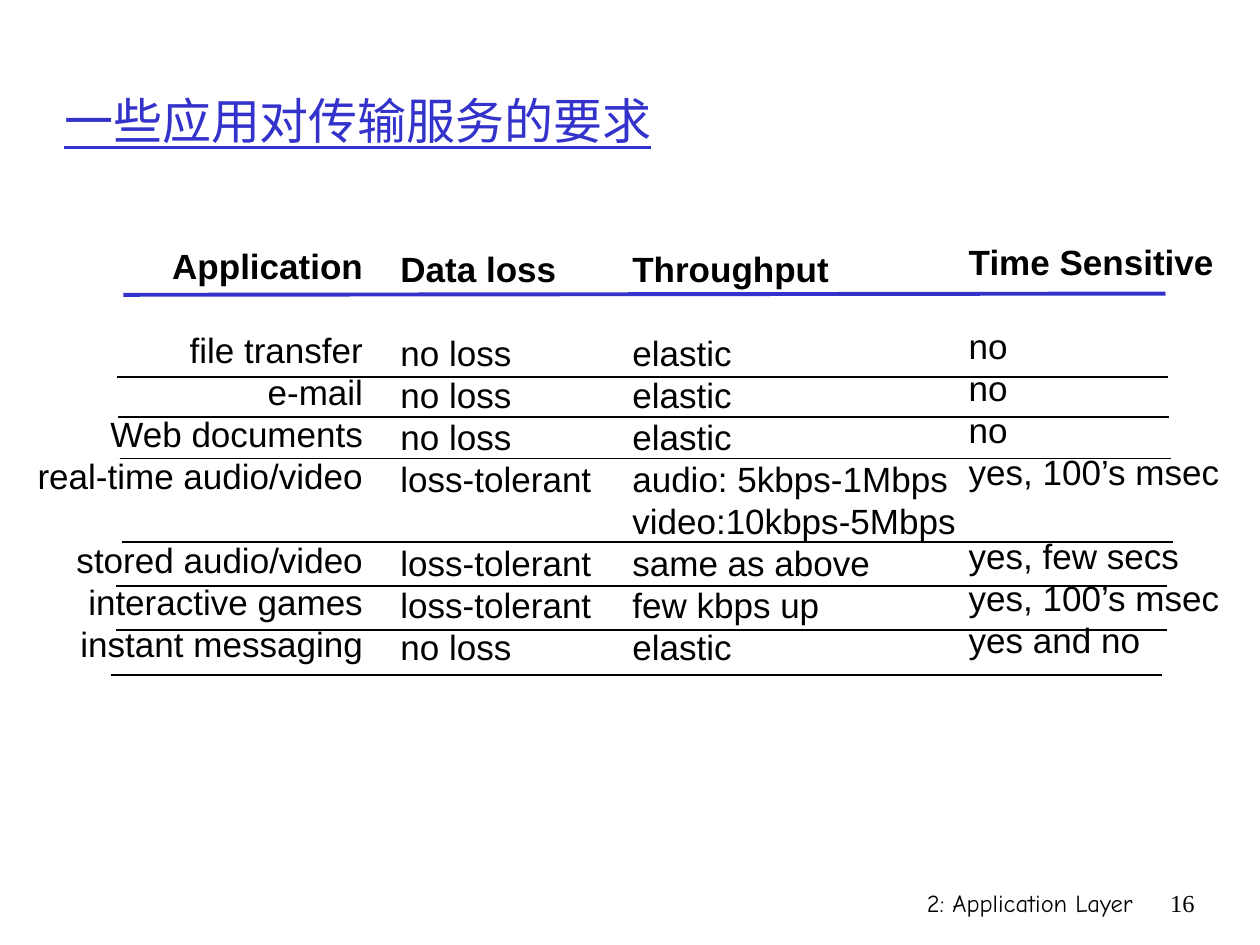
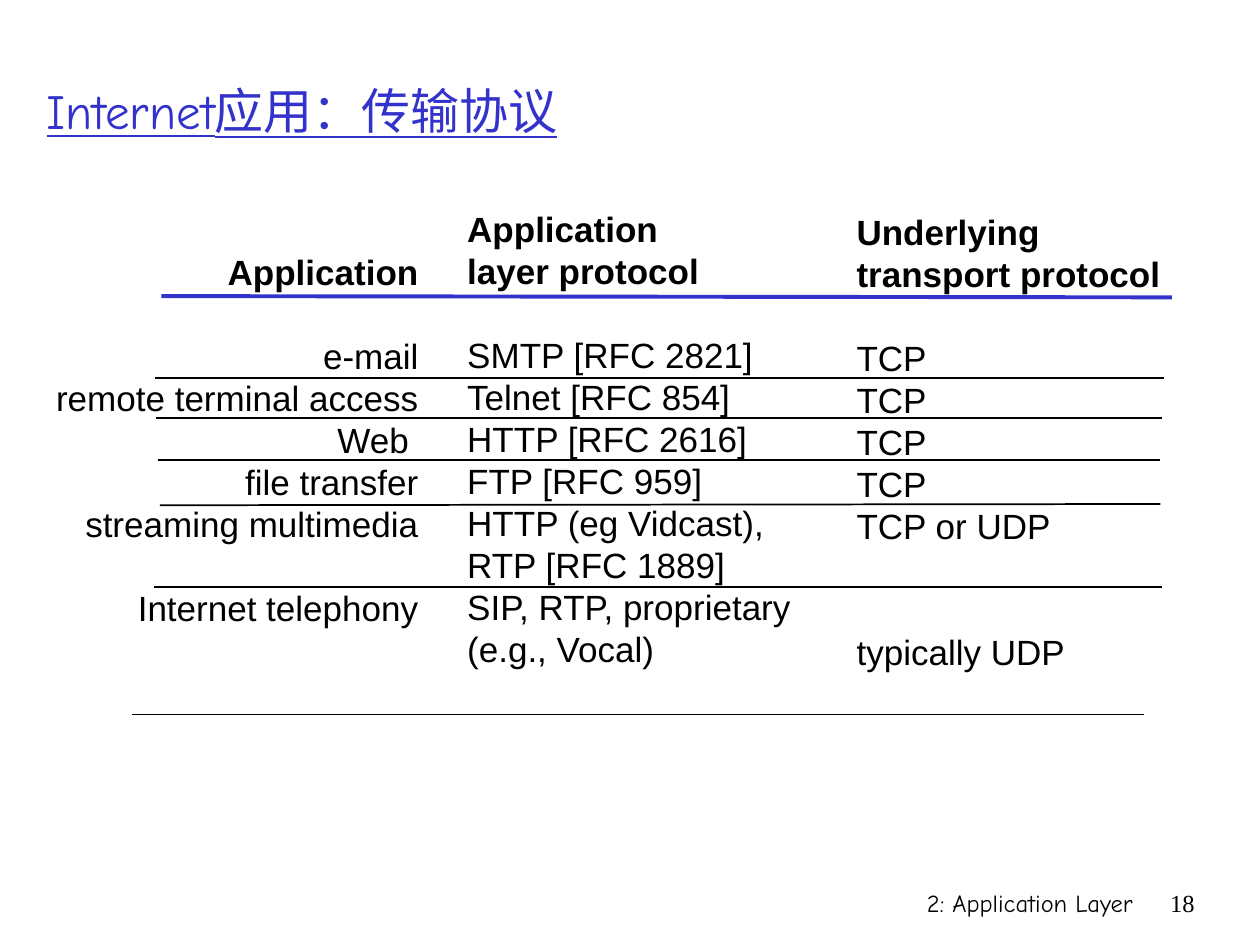
"""Build two slides on the transport needs and protocols of network applications."""
from dataclasses import dataclass

from lxml import etree
from pptx import Presentation
from pptx.dml.color import RGBColor
from pptx.enum.shapes import MSO_CONNECTOR
from pptx.enum.text import MSO_ANCHOR, MSO_AUTO_SIZE, PP_ALIGN
from pptx.oxml.ns import qn
from pptx.util import Inches, Pt

LEFT, RIGHT = PP_ALIGN.LEFT, PP_ALIGN.RIGHT
MIDDLE = MSO_ANCHOR.MIDDLE
FIXED, GROW = MSO_AUTO_SIZE.NONE, MSO_AUTO_SIZE.SHAPE_TO_FIT_TEXT
STRAIGHT = MSO_CONNECTOR.STRAIGHT

SLIDE_WIDTH, SLIDE_HEIGHT = Inches(10), Inches(7.5)
GRID_COLUMNS, GRID_ROWS = 100, 75
TITLE_ONLY_LAYOUT = 5
GAP = None


@dataclass(frozen=True)
class TextStyle:
    """Typeface, size in points and colour of a run."""
    font: str
    size: float
    color: RGBColor
    bold: bool = False
    underline: bool = False


class Theme:
    """Colours, type styles and line weights shared by the slides."""
    blue = RGBColor(0x33, 0x33, 0xCC)
    black = RGBColor(0, 0, 0)
    title = TextStyle("Comic Neue", 28, blue, underline=True)
    heading = TextStyle("Arial", 20, black, bold=True)
    body = TextStyle("Arial", 20, black)
    footer = TextStyle("Comic Neue", 14, black)
    number = TextStyle("Times New Roman", 14, black)
    line_pitch = Pt(24)
    heading_rule = Pt(2.25)
    row_rule = Pt(1)


@dataclass(frozen=True)
class Box:
    """A rectangle in grid columns and rows."""
    left: float
    top: float
    width: float
    height: float


@dataclass(frozen=True)
class Column:
    """A text column: heading lines, then entries, where GAP skips a line."""
    box: Box
    headings: tuple
    entries: tuple
    align: PP_ALIGN = LEFT


@dataclass(frozen=True)
class Rule:
    """A line between two grid columns, with an optional drop at its end."""
    left: float
    right: float
    top: float
    drop: float = 0


@dataclass(frozen=True)
class Comparison:
    """The content of one slide."""
    title: str
    title_box: Box
    number: str
    columns: tuple
    heading_rule: Rule
    row_rules: tuple


FOOTER = "2: Application Layer"
FOOTER_BOX = Box(59.2, 70, 31.7, 5)
NUMBER_BOX = Box(90.8, 70, 5, 5)

REQUIREMENTS = Comparison(
    "一些应用对传输服务的要求", Box(4.1, 3.3, 89.7, 12.5), "16",
    (
        Column(Box(1, 18.9, 28.8, 34.4), ("Application",),
               ("file transfer", "e-mail", "Web documents", "real-time audio/video", GAP,
                "stored audio/video", "interactive games", "instant messaging"), RIGHT),
        Column(Box(30.8, 19.15, 18, 34.4), ("Data loss",),
               ("no loss", "no loss", "no loss", "loss-tolerant", GAP,
                "loss-tolerant", "loss-tolerant", "no loss")),
        Column(Box(49.2, 19.15, 28.2, 34.4), ("Throughput",),
               ("elastic", "elastic", "elastic", "audio: 5kbps-1Mbps", "video:10kbps-5Mbps",
                "same as above", "few kbps up", "elastic")),
        Column(Box(75.9, 18.6, 22.6, 34.4), ("Time Sensitive",),
               ("no", "no", "no", "yes, 100’s msec", GAP,
                "yes, few secs", "yes, 100’s msec", "yes and no")),
    ),
    Rule(9.8, 92.5, 23.4, -0.1),
    (
        Rule(9.3, 92.7, 29.9), Rule(9.4, 92.8, 33.1), Rule(9.5, 92.9, 36.4),
        Rule(9.7, 93.1, 43), Rule(9.2, 92.6, 46.5), Rule(9.2, 92.6, 50),
        Rule(8.8, 92.2, 53.6),
    ),
)

PROTOCOLS = Comparison(
    "Internet应用：传输协议", Box(2.7, 2.5, 95.7, 12.5), "18",
    (
        Column(Box(2.4, 19.4, 31.8, 34.4), ("Application",),
               ("e-mail", "remote terminal access", "Web ", "file transfer",
                "streaming multimedia", GAP, "Internet telephony"), RIGHT),
        Column(Box(36.1, 16, 29, 37.7), ("Application", "layer protocol"),
               ("SMTP [RFC 2821]", "Telnet [RFC 854]", "HTTP [RFC 2616]", "FTP [RFC 959]",
                "HTTP (eg Vidcast), \nRTP [RFC 1889]", "SIP, RTP, proprietary",
                "(e.g., Vocal)")),
        Column(Box(67, 16.2, 28.7, 37.7), ("Underlying", "transport protocol"),
               ("TCP", "TCP", "TCP", "TCP", "TCP or UDP", GAP, GAP, "typically UDP")),
    ),
    Rule(12.8, 93, 23.5, 0.1),
    (
        Rule(12.3, 92.4, 30), Rule(12.4, 92.2, 33.2), Rule(12.5, 92.1, 36.5),
        Rule(12.7, 92.1, 40.1, -0.1), Rule(12.2, 92.2, 46.6), Rule(10.5, 90.8, 56.7),
    ),
)


def across(columns: float) -> int:
    """Turn grid columns into a length."""
    return round(SLIDE_WIDTH * columns / GRID_COLUMNS)


def down(rows: float) -> int:
    """Turn grid rows into a length."""
    return round(SLIDE_HEIGHT * rows / GRID_ROWS)


def place(box: Box) -> tuple:
    """Turn a grid box into left, top, width and height."""
    return across(box.left), down(box.top), across(box.width), down(box.height)


def add_run(paragraph, text: str, style: TextStyle) -> None:
    """Add one styled run to a paragraph."""
    run = paragraph.add_run()
    run.text = text
    run.font.name = style.font
    run.font.size = Pt(style.size)
    run.font.color.rgb = style.color
    run.font.bold = style.bold
    run.font.underline = style.underline


def add_title(slide, text: str, box: Box) -> None:
    """Move, format and fill the title placeholder."""
    shape = slide.shapes.title
    shape.left, shape.top, shape.width, shape.height = place(box)
    frame = shape.text_frame
    frame.auto_size = FIXED
    frame.vertical_anchor = MIDDLE
    paragraph = frame.paragraphs[0]
    paragraph.alignment = LEFT
    add_run(paragraph, text, Theme.title)


def add_label(slide, text: str, box: Box, style: TextStyle) -> None:
    """Add a right-aligned line of footer text."""
    frame = slide.shapes.add_textbox(*place(box)).text_frame
    frame.word_wrap = True
    paragraph = frame.paragraphs[0]
    paragraph.alignment = RIGHT
    add_run(paragraph, text, style)


def add_column(slide, column: Column) -> None:
    """Add a text column whose skipped lines are made with paragraph spacing."""
    frame = slide.shapes.add_textbox(*place(column.box)).text_frame
    frame.word_wrap = True
    frame.auto_size = GROW
    lines = [(text, Theme.heading) for text in column.headings]
    lines += [(text, Theme.body) for text in (GAP, *column.entries)]
    paragraph, skipped = frame.paragraphs[0], 0
    for index, (text, style) in enumerate(lines):
        if text is GAP:
            skipped += 1
            continue
        if index:
            paragraph = frame.add_paragraph()
        paragraph.alignment = column.align
        paragraph.line_spacing = Theme.line_pitch
        paragraph.space_before = skipped * Theme.line_pitch
        for part_index, part in enumerate(text.split("\n")):
            if part_index:
                paragraph.add_line_break()
            add_run(paragraph, part, style)
        skipped = 0


def add_rule(slide, rule: Rule, color: RGBColor, weight: int) -> None:
    """Draw a line without a shadow."""
    connector = slide.shapes.add_connector(
        STRAIGHT, across(rule.left), down(rule.top),
        across(rule.right), down(rule.top + rule.drop))
    connector.line.color.rgb = color
    connector.line.width = weight
    etree.SubElement(connector._element.spPr, qn("a:effectLst"))


def add_comparison(presentation, comparison: Comparison) -> None:
    """Add one slide with its title, columns, rules and footer."""
    slide = presentation.slides.add_slide(presentation.slide_layouts[TITLE_ONLY_LAYOUT])
    add_label(slide, FOOTER, FOOTER_BOX, Theme.footer)
    add_label(slide, comparison.number, NUMBER_BOX, Theme.number)
    add_title(slide, comparison.title, comparison.title_box)
    for column in comparison.columns:
        add_column(slide, column)
    add_rule(slide, comparison.heading_rule, Theme.blue, Theme.heading_rule)
    for rule in comparison.row_rules:
        add_rule(slide, rule, Theme.black, Theme.row_rule)


def main() -> None:
    """Build and save the presentation."""
    presentation = Presentation()
    presentation.slide_width, presentation.slide_height = SLIDE_WIDTH, SLIDE_HEIGHT
    for comparison in (REQUIREMENTS, PROTOCOLS):
        add_comparison(presentation, comparison)
    presentation.save("out.pptx")


if __name__ == "__main__":
    main()
